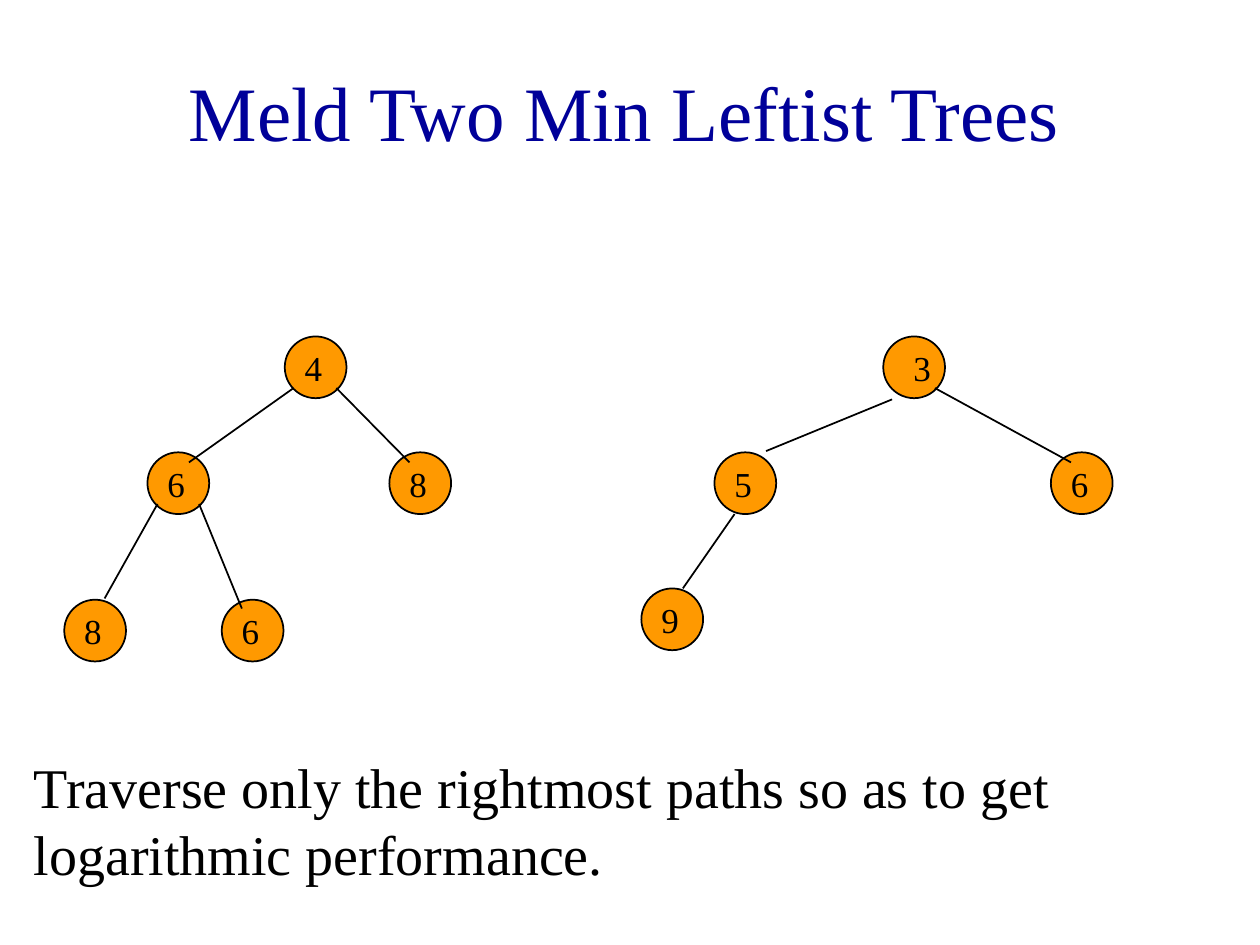
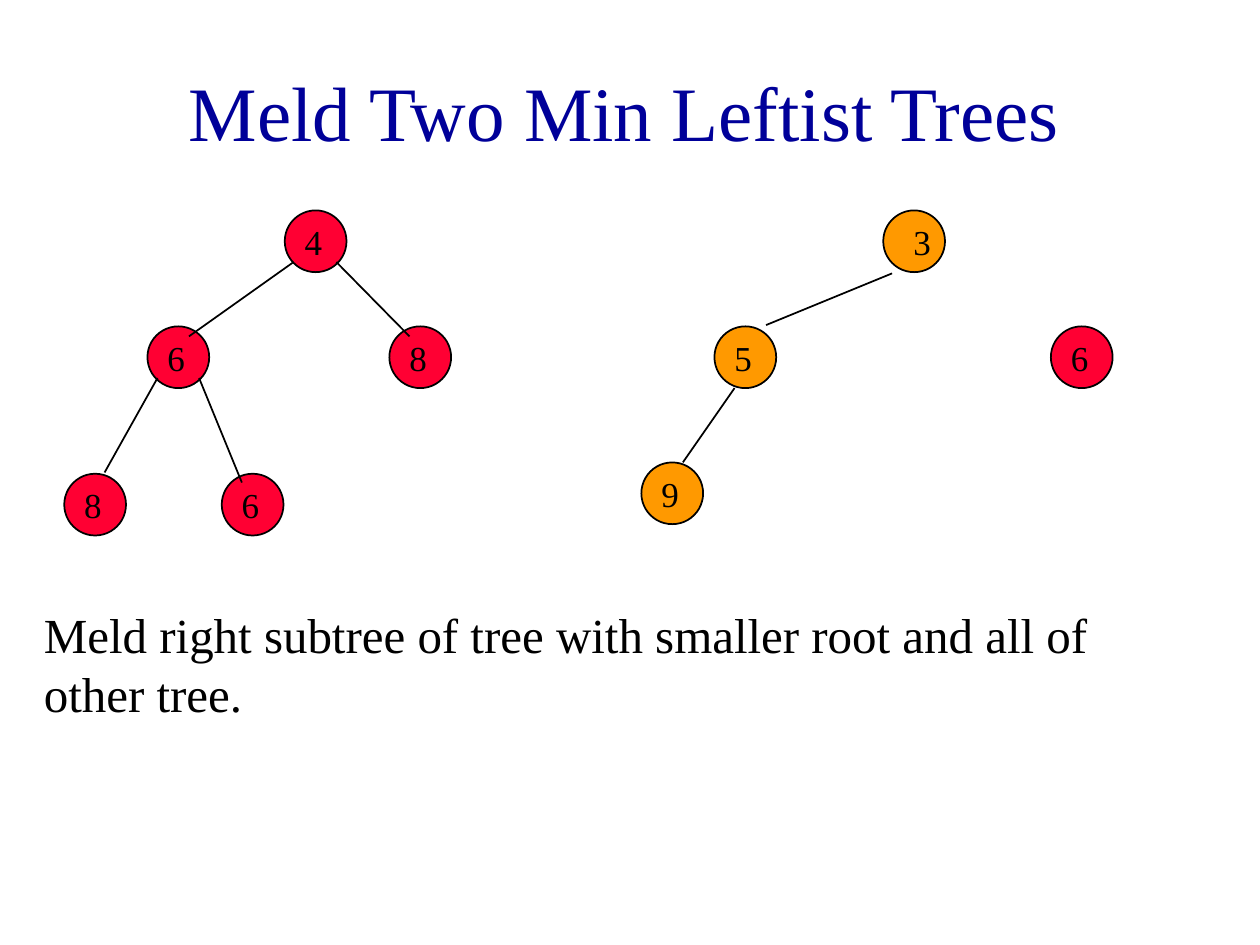
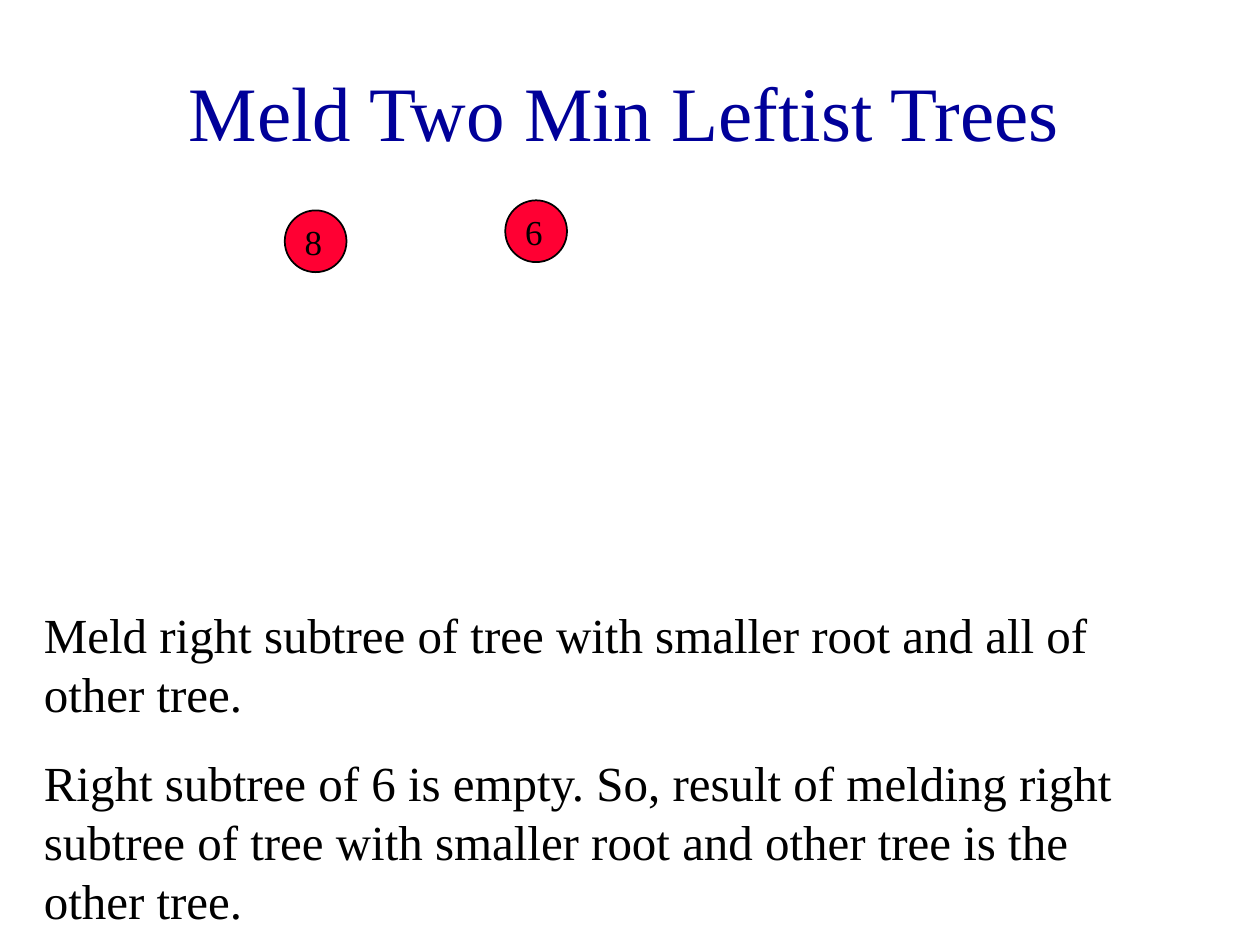
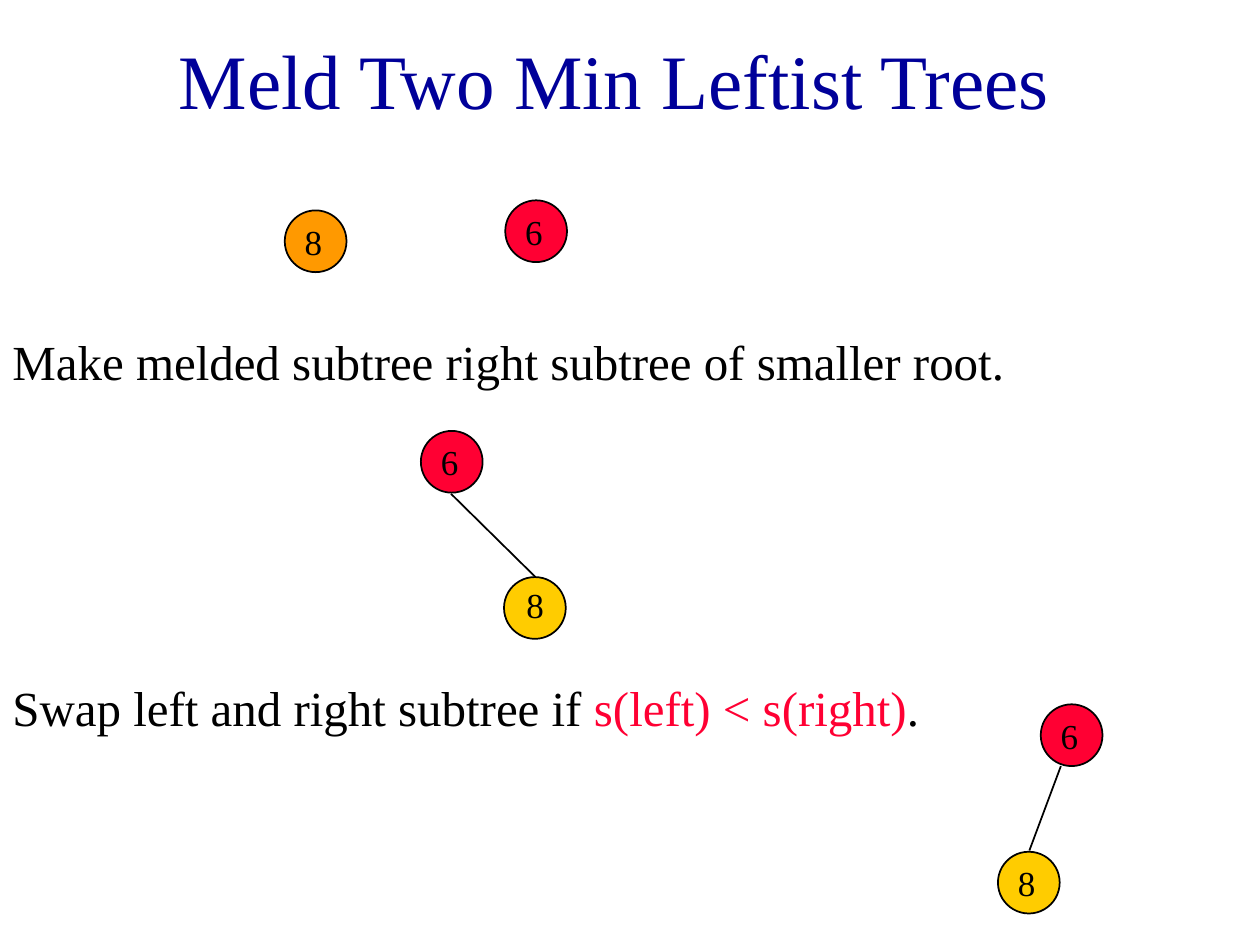
from dataclasses import dataclass, replace

from lxml.etree import SubElement
from pptx import Presentation
from pptx.dml.color import RGBColor
from pptx.enum.shapes import MSO_CONNECTOR as Connector, MSO_SHAPE as Shape
from pptx.enum.text import MSO_ANCHOR as Anchor, MSO_AUTO_SIZE as AutoSize, PP_ALIGN as Align
from pptx.oxml.ns import qn
from pptx.util import Inches, Pt

# Shared style
FONT = "Times New Roman"
NAVY = RGBColor(0x00, 0x00, 0x99)
ORANGE = RGBColor(0xFF, 0x99, 0x00)
RED = RGBColor(0xFF, 0x00, 0x33)
YELLOW = RGBColor(0xFF, 0xCC, 0x00)
BLACK = RGBColor(0x00, 0x00, 0x00)
WHITE = RGBColor(0xFF, 0xFF, 0xFF)

TITLE = "Meld Two Min Leftist Trees"
MELD_RULE = "Meld right subtree of tree with smaller root and all of other tree."
EMPTY_CASE = (
    "Right subtree of 6 is empty. So, result of melding right subtree of tree "
    "with smaller root and other tree is the other tree."
)
TITLE_ONLY_LAYOUT = 5
DIAMETER = 0.49
LABEL_WIDTH, LABEL_HEIGHT = 0.34, 0.43


@dataclass(frozen=True)
class Node:
    value: str
    left: float
    top: float
    fill: RGBColor = ORANGE
    label_dx: float = 0.06
    label_dy: float = 0.03


@dataclass(frozen=True)
class Edge:
    x1: float
    y1: float
    x2: float
    y2: float


# The two trees to meld, and the right subtree of the second one
FIRST_TREE = [
    Node("4", 2.26, 2.67),
    Node("6", 1.17, 3.59),
    Node("8", 3.09, 3.59),
    Node("8", 0.51, 4.76),
    Node("6", 1.76, 4.76),
]
SECOND_TREE = [
    Node("3", 7.01, 2.67, label_dx=0.14),
    Node("5", 5.67, 3.59),
    Node("9", 5.09, 4.67),
]
RIGHT_SUBTREE = [Node("6", 8.34, 3.59)]
TREE_EDGES = [
    Edge(2.33, 3.08, 1.5, 3.67),
    Edge(2.67, 3.08, 3.25, 3.67),
    Edge(7.08, 3.17, 6.08, 3.58),
    Edge(1.25, 4, 0.83, 4.75),
    Edge(1.58, 4, 1.92, 4.83),
    Edge(5.83, 4.08, 5.42, 4.67),
]
RIGHT_SUBTREE_EDGE = Edge(7.42, 3.08, 8.5, 3.67)

# The single-node trees of the last step
EIGHT = Node("8", 2.26, 1.67)
SIX = Node("6", 4.01, 1.59, RED)


def write(frame, *paragraphs, size: float, color=BLACK, align=Align.LEFT,
          before: float = 0, anchor=Anchor.TOP, wrap: bool = True,
          auto_size=AutoSize.SHAPE_TO_FIT_TEXT) -> None:
    """Fill a text frame; a paragraph is a string or a list of (text, color) runs."""
    frame.word_wrap = wrap
    frame.auto_size = auto_size
    frame.vertical_anchor = anchor
    for index, content in enumerate(paragraphs):
        paragraph = frame.add_paragraph() if index else frame.paragraphs[0]
        paragraph.alignment = align
        paragraph.space_before = Pt(before)
        runs = [(content, color)] if isinstance(content, str) else content
        for text, run_color in runs:
            run = paragraph.add_run()
            run.text = text
            run.font.name = FONT
            run.font.size = Pt(size)
            run.font.color.rgb = run_color


def add_circle(shapes, node: Node) -> None:
    circle = shapes.add_shape(Shape.OVAL, Inches(node.left), Inches(node.top),
                              Inches(DIAMETER), Inches(DIAMETER))
    circle.shadow.inherit = False
    circle.fill.solid()
    circle.fill.fore_color.rgb = node.fill
    circle.line.color.rgb = BLACK
    circle.line.width = Pt(1)


def add_edge(shapes, edge: Edge) -> None:
    branch = shapes.add_connector(Connector.STRAIGHT, Inches(edge.x1), Inches(edge.y1),
                                  Inches(edge.x2), Inches(edge.y2))
    branch.line.color.rgb = BLACK
    branch.line.width = Pt(1)
    SubElement(branch._element.spPr, qn("a:effectLst"))


def add_text(shapes, left: float, top: float, width: float, height: float,
             *paragraphs, **style) -> None:
    box = shapes.add_textbox(Inches(left), Inches(top), Inches(width), Inches(height))
    write(box.text_frame, *paragraphs, **style)


def add_tree(shapes, nodes: list[Node], edges: list[Edge]) -> None:
    """Draw circles first, branches over them and values on top."""
    for node in nodes:
        add_circle(shapes, node)
    for edge in edges:
        add_edge(shapes, edge)
    for node in nodes:
        add_text(shapes, node.left + node.label_dx, node.top + node.label_dy,
                 LABEL_WIDTH, LABEL_HEIGHT, node.value, size=20, wrap=False)


def recolored(nodes: list[Node], fill: RGBColor) -> list[Node]:
    return [replace(node, fill=fill) for node in nodes]


def raised(nodes: list[Node], edges: list[Edge], by: float) -> tuple[list[Node], list[Edge]]:
    return ([replace(node, top=node.top - by) for node in nodes],
            [replace(edge, y1=edge.y1 - by, y2=edge.y2 - by) for edge in edges])


def add_titled_slide(deck, left: float = 0.08, top: float = 0.25):
    slide = deck.slides.add_slide(deck.slide_layouts[TITLE_ONLY_LAYOUT])
    slide.background.fill.solid()
    slide.background.fill.fore_color.rgb = WHITE
    title = slide.shapes.title
    title.left, title.top = Inches(left), Inches(top)
    title.width, title.height = Inches(9.75), Inches(1.25)
    write(title.text_frame, TITLE, size=44, color=NAVY, align=Align.CENTER,
          anchor=Anchor.MIDDLE, auto_size=AutoSize.NONE)
    return slide.shapes


def main() -> None:
    deck = Presentation()
    deck.slide_width, deck.slide_height = Inches(10), Inches(7.5)

    # Slide 1: both trees
    shapes = add_titled_slide(deck)
    add_tree(shapes.add_group_shape().shapes, FIRST_TREE + SECOND_TREE + RIGHT_SUBTREE,
             TREE_EDGES + [RIGHT_SUBTREE_EDGE])
    add_text(shapes, 0.17, 5.92, 8.75, 1.17,
             "Traverse only the rightmost paths so as to get logarithmic performance.",
             size=32, before=20)

    # Slide 2: right subtree cut off, trees to meld in red
    shapes = add_titled_slide(deck)
    add_tree(shapes, *raised(recolored(FIRST_TREE, RED) + SECOND_TREE
                             + recolored(RIGHT_SUBTREE, RED), TREE_EDGES, by=1))
    add_text(shapes, 0.25, 4.75, 8.75, 1.04, MELD_RULE, size=28, before=17.5)

    # Slide 3: melding two single nodes
    shapes = add_titled_slide(deck)
    add_tree(shapes, [replace(EIGHT, fill=RED), SIX], [])
    add_text(shapes, 0.25, 4.75, 8.75, 2.68, MELD_RULE, EMPTY_CASE, size=28, before=17.5)

    # Slide 4: attach the melded subtree, then swap
    shapes = add_titled_slide(deck, left=0, top=0)
    add_text(shapes, 0, 5.33, 8.17, 0.57,
             [("Swap left and right subtree if ", BLACK), ("s(left) < s(right)", RED),
              (".", BLACK)], size=28, before=17.5)
    add_text(shapes, 0, 2.58, 8.75, 0.57,
             "Make melded subtree right subtree of smaller root.", size=28, before=17.5)
    steps = [
        ([EIGHT, SIX], []),
        ([Node("6", 3.34, 3.42, RED),
          Node("8", 4, 4.58, YELLOW, label_dx=0.08, label_dy=0)],
         [Edge(3.58, 3.92, 4.25, 4.58)]),
        ([Node("6", 8.26, 5.59, RED), Node("8", 7.92, 6.76, YELLOW)],
         [Edge(8.42, 6.08, 8.17, 6.75)]),
    ]
    for nodes, edges in steps:
        add_tree(shapes.add_group_shape().shapes, nodes, edges)

    deck.save("out.pptx")


if __name__ == "__main__":
    main()
